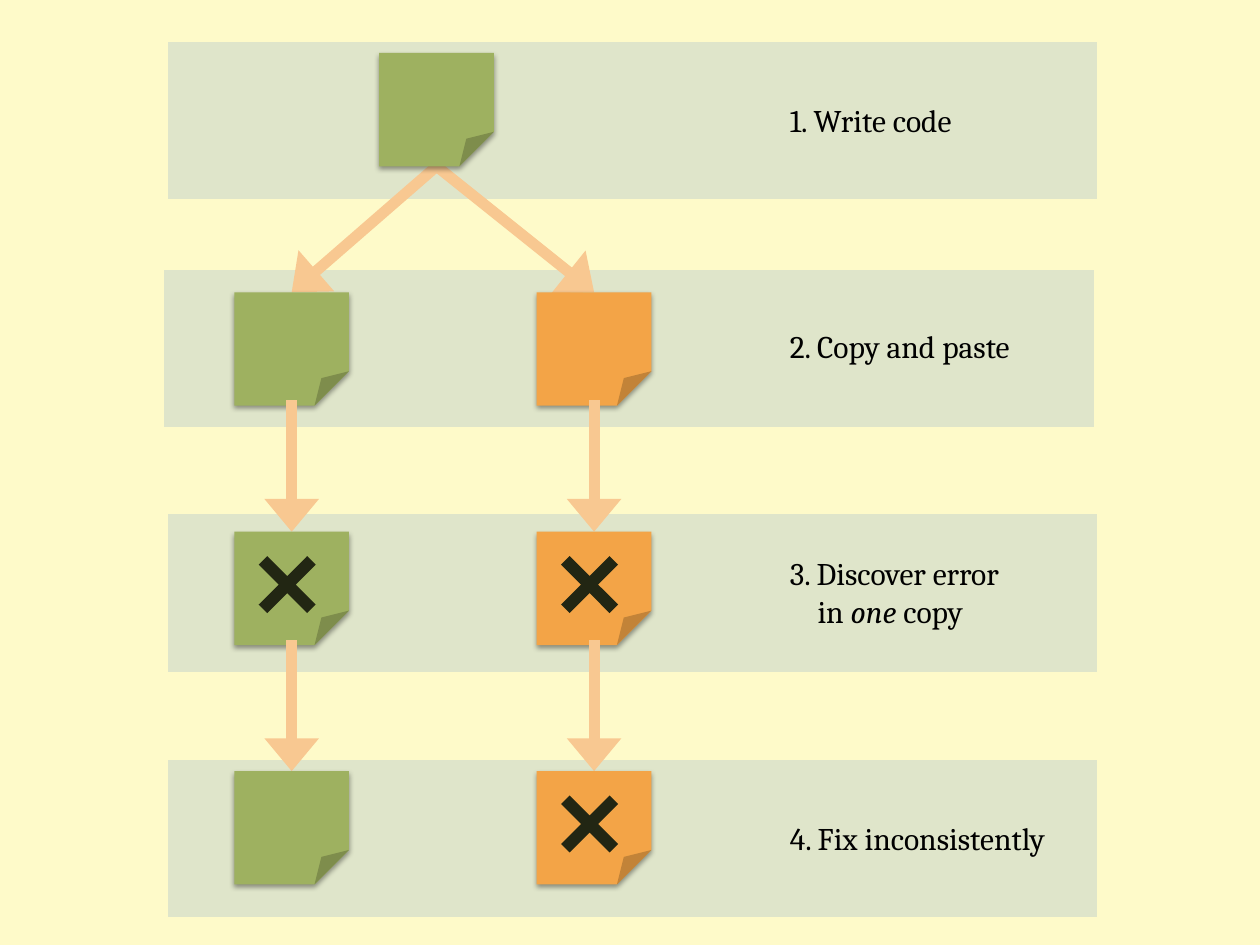
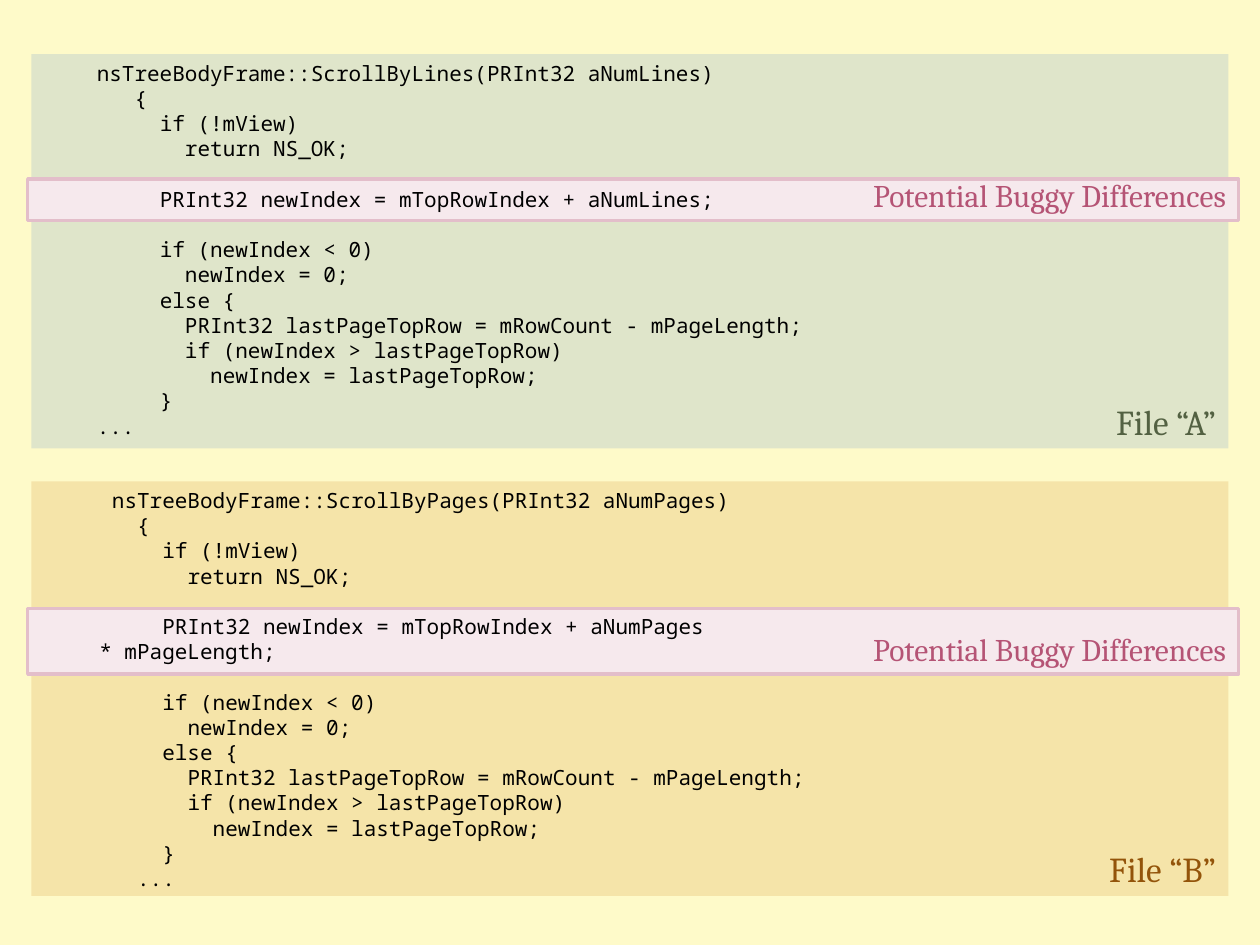
from lxml.etree import SubElement
from pptx import Presentation
from pptx.dml.color import RGBColor
from pptx.enum.shapes import MSO_CONNECTOR, MSO_SHAPE
from pptx.enum.text import MSO_ANCHOR, MSO_AUTO_SIZE, PP_ALIGN
from pptx.oxml.ns import qn
from pptx.util import Inches, Pt

CREAM = RGBColor(0xFE, 0xFA, 0xC9)
SAGE = RGBColor(0xDF, 0xE5, 0xCA)
SAND = RGBColor(0xF5, 0xE4, 0xA9)
GREEN = RGBColor(0x9E, 0xB1, 0x60)
ORANGE = RGBColor(0xF3, 0xA4, 0x47)
PEACH = RGBColor(0xF8, 0xC8, 0x91)
DARK_GREEN = RGBColor(0x53, 0x61, 0x42)
BROWN = RGBColor(0x93, 0x54, 0x0A)
NEAR_BLACK = RGBColor(0x22, 0x26, 0x13)
BLACK = RGBColor(0, 0, 0)
PALE_PINK = RGBColor(0xF6, 0xE9, 0xED)
PINK = RGBColor(0xE3, 0xBE, 0xCA)
ROSE = RGBColor(0xB5, 0x54, 0x75)

TEXT_FONT = "Cambria"
CODE_FONT = "Noto Sans Mono"
CODE_SIZE = 12
CODE_COLUMN = 0.1  # width of one code character, inches
CODE_LINE = 14.4   # height of one code line, points

NOTE_WIDTH, NOTE_HEIGHT = 0.91, 0.9
LEFT_NOTE, TOP_NOTE, RIGHT_NOTE = 1.86, 3.01, 4.26


class Deck:
    """Holds the shared style and the slide being drawn."""

    def __init__(self):
        """Start a 10 by 7.5 inch presentation on a cream background."""
        self.presentation = Presentation()
        self.presentation.slide_width = Inches(10)
        self.presentation.slide_height = Inches(7.5)
        fill = self.presentation.slide_master.background.fill
        fill.solid()
        fill.fore_color.rgb = CREAM
        self.slide = None

    def new_slide(self):
        """Add a blank slide and make it current."""
        self.slide = self.presentation.slides.add_slide(self.presentation.slide_layouts[6])

    def box(self, kind, left, top, width, height, color):
        """Add a flat filled shape without outline."""
        shape = self.slide.shapes.add_shape(
            kind, Inches(left), Inches(top), Inches(width), Inches(height))
        shape.shadow.inherit = False
        shape.fill.solid()
        shape.fill.fore_color.rgb = color
        shape.line.fill.background()
        return shape

    def adjust(self, shape, name, value):
        """Set a named adjustment of a preset shape, in thousandths of a percent."""
        guides = shape._element.spPr.find(qn("a:prstGeom")).get_or_add_avLst()
        for guide in list(guides):
            guides.remove(guide)
        SubElement(guides, qn("a:gd"), name=name, fmla=f"val {value}")

    def style(self, paragraph, size, color, font=TEXT_FONT):
        """Set the font of a whole paragraph."""
        paragraph.font.name = font
        paragraph.font.size = Pt(size)
        paragraph.font.color.rgb = color

    def band(self, left, top):
        """Add the background strip of one step."""
        self.box(MSO_SHAPE.FLOWCHART_PROCESS, left, top, 7.38, 1.25, SAGE)

    def panel(self, left, top, width, height, color, caption, size, caption_color):
        """Add a rectangle captioned in its lower right corner."""
        shape = self.box(MSO_SHAPE.RECTANGLE, left, top, width, height, color)
        shape.text_frame.vertical_anchor = MSO_ANCHOR.BOTTOM
        paragraph = shape.text_frame.paragraphs[0]
        paragraph.text = caption
        paragraph.alignment = PP_ALIGN.RIGHT
        self.style(paragraph, size, caption_color)
        return shape

    def highlight(self, top, height):
        """Add an outlined strip that marks differing lines."""
        shape = self.panel(0.22, top, 9.61, height, PALE_PINK,
                           "Potential Buggy Differences", 18, ROSE)
        shape.line.color.rgb = PINK
        shape.line.width = Pt(2)

    def note(self, left, top, color, crossed=False):
        """Add a sticky note with a soft shadow, crossed out if faulty."""
        shape = self.box(MSO_SHAPE.FOLDED_CORNER, left, top,
                         NOTE_WIDTH, NOTE_HEIGHT, color)
        self.adjust(shape, "adj", 30400)
        effects = shape._element.spPr.find(qn("a:effectLst"))
        shadow = SubElement(effects, qn("a:outerShdw"), blurRad=str(Pt(3.1)),
                            dist=str(Pt(1.6)), dir="5400000", rotWithShape="0")
        shadow_color = SubElement(shadow, qn("a:srgbClr"), val="000000")
        SubElement(shadow_color, qn("a:alpha"), val="38000")
        if crossed:
            cross = self.box(MSO_SHAPE.MATH_MULTIPLY, left + 0.05, top + 0.05,
                             0.74, 0.74, NEAR_BLACK)
            self.adjust(cross, "adj1", 12900)

    def arrow(self, from_note, to_note, top):
        """Add a thick arrow between two notes one row apart."""
        middle = NOTE_WIDTH / 2
        connector = self.slide.shapes.add_connector(
            MSO_CONNECTOR.STRAIGHT, Inches(from_note + middle), Inches(top),
            Inches(to_note + middle), Inches(top + 1))
        connector.line.color.rgb = PEACH
        connector.line.width = Pt(6.25)
        line = connector.line._get_or_add_ln()
        line.set("cap", "sq")
        SubElement(line, qn("a:tailEnd"), type="triangle", w="lg", len="med")
        SubElement(connector._element.spPr, qn("a:effectLst"))

    def text_box(self, left, top, width, height, wrap):
        """Add a text box that grows with its text; return its frame."""
        frame = self.slide.shapes.add_textbox(
            Inches(left), Inches(top), Inches(width), Inches(height)).text_frame
        frame.word_wrap = wrap
        frame.auto_size = MSO_AUTO_SIZE.SHAPE_TO_FIT_TEXT
        return frame

    def indent(self, paragraph, margin, first_line=0):
        """Set the left margin and first-line indent of a paragraph."""
        properties = paragraph._p.get_or_add_pPr()
        properties.set("marL", str(Inches(margin)))
        properties.set("indent", str(Inches(first_line)))

    def label(self, top, width, height, lines):
        """Add a step label; each line is a list of (text, italic) runs."""
        paragraph = self.text_box(6.17, top, width, height, False).paragraphs[0]
        self.style(paragraph, 18, BLACK)
        if len(lines) > 1:
            self.indent(paragraph, 0.22, -0.22)
        for number, runs in enumerate(lines):
            if number:
                paragraph.add_line_break()
            for text, italic in runs:
                run = paragraph.add_run()
                run.text = text
                if italic:
                    run.font.italic = True

    def code(self, left, top, height, lines):
        """Add code lines, each (column, text, gap above in lines)."""
        frame = self.text_box(left, top, 8.67, height, True)
        for number, (column, text, gap) in enumerate(lines):
            paragraph = frame.add_paragraph() if number else frame.paragraphs[0]
            paragraph.text = text
            paragraph.space_before = Pt(gap * CODE_LINE)
            self.indent(paragraph, column * CODE_COLUMN)
            self.style(paragraph, CODE_SIZE, BLACK, CODE_FONT)


def scroll_function(signature, first_column, index_lines, last_column):
    """Return the lines of a scroll function around its index lines."""
    return [
        (first_column, "nsTreeBodyFrame::" + signature, 0),
        (3, "{", 0),
        (5, "if (!mView)", 0),
        (7, "return NS_OK;", 0),
        *index_lines,
        (5, "if (newIndex < 0)", 1),
        (7, "newIndex = 0;", 0),
        (5, "else {", 0),
        (7, "PRInt32 lastPageTopRow = mRowCount - mPageLength;", 0),
        (7, "if (newIndex > lastPageTopRow)", 0),
        (9, "newIndex = lastPageTopRow;", 0),
        (5, "}", 0),
        (last_column, "...", 0),
    ]


def draw_copy_steps(deck):
    """Draw how a copied error gets fixed in one place only."""
    deck.new_slide()
    # band left, band top, label (top, width, height, lines), left and right crossed
    steps = [
        (1.33, 0.33, (0.75, 1.65, 0.4, [[("1. Write code", False)]]), None),
        (1.3, 2.14, (2.55, 2.11, 0.4, [[("2. Copy and paste", False)]]), (False, False)),
        (1.33, 4.08, (4.35, 2.06, 0.71, [
            [("3. Discover error ", False)],
            [("in ", False), ("one", True), (" copy", False)]]), (True, True)),
        (1.33, 6.03, (6.45, 2.38, 0.4, [[("4. Fix inconsistently", False)]]), (False, True)),
    ]
    first_top, row_pitch = 0.42, 1.9
    for row, (band_left, band_top, label, crossed) in enumerate(steps):
        top = first_top + row * row_pitch
        deck.band(band_left, band_top)
        deck.label(*label)
        if crossed is None:
            continue
        notes = zip((LEFT_NOTE, RIGHT_NOTE), (GREEN, ORANGE), crossed)
        for left, color, is_crossed in notes:
            deck.arrow(TOP_NOTE if row == 1 else left, left, top - 1)
            deck.note(left, top, color, is_crossed)
    deck.note(TOP_NOTE, first_top, GREEN)


def draw_code_comparison(deck):
    """Draw two near-identical functions with the difference marked."""
    deck.new_slide()
    deck.panel(0.25, 0.43, 9.5, 3.13, SAGE, "File “A”", 20, DARK_GREEN)
    deck.panel(0.25, 3.82, 9.5, 3.29, SAND, "File “B”", 20, BROWN)
    deck.highlight(4.83, 0.52)
    deck.highlight(1.42, 0.33)
    deck.code(0.67, 0.43, 3.13, scroll_function(
        "ScrollByLines(PRInt32 aNumLines)", 0,
        [(5, "PRInt32 newIndex = mTopRowIndex + aNumLines;", 1)], 0))
    deck.code(0.69, 3.82, 3.33, scroll_function(
        "ScrollByPages(PRInt32 aNumPages)", 1,
        [(5, "PRInt32 newIndex = mTopRowIndex + aNumPages ", 1),
         (0, "* mPageLength;", 0)], 3))


deck = Deck()
draw_copy_steps(deck)
draw_code_comparison(deck)
deck.presentation.save("out.pptx")
